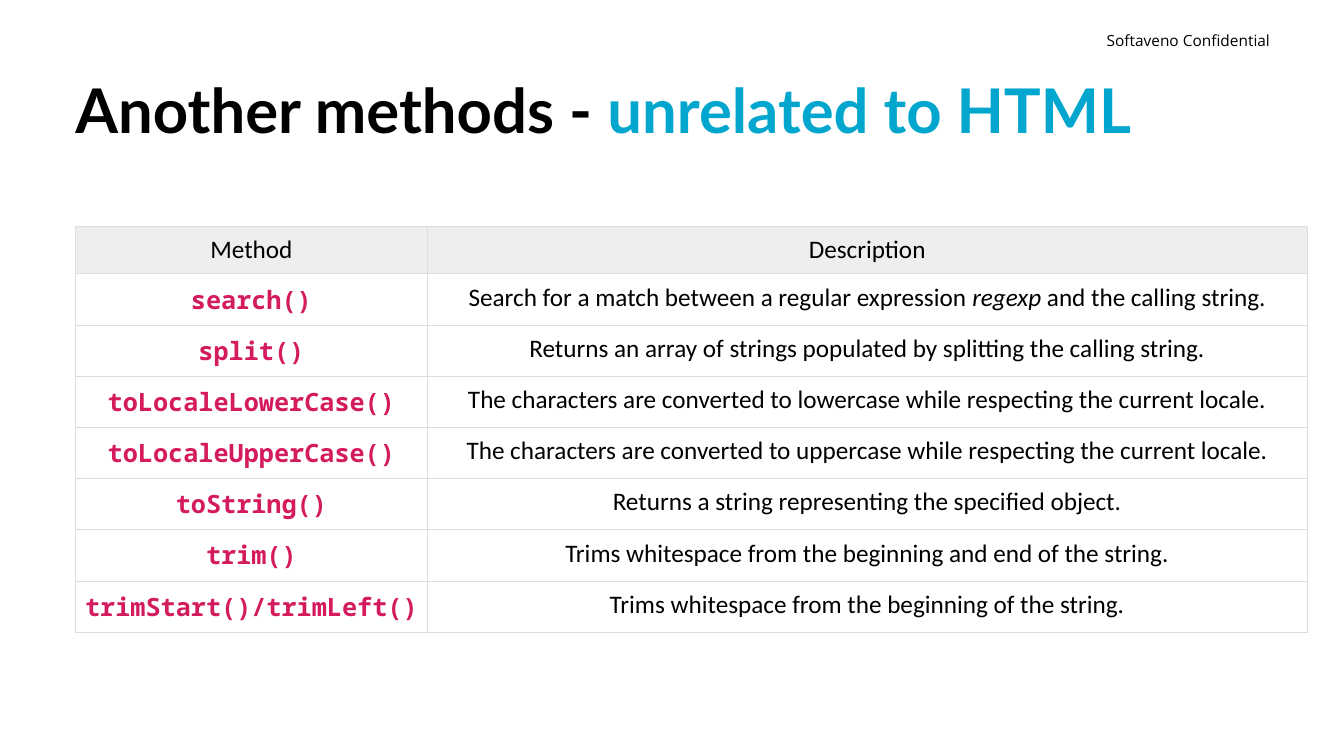
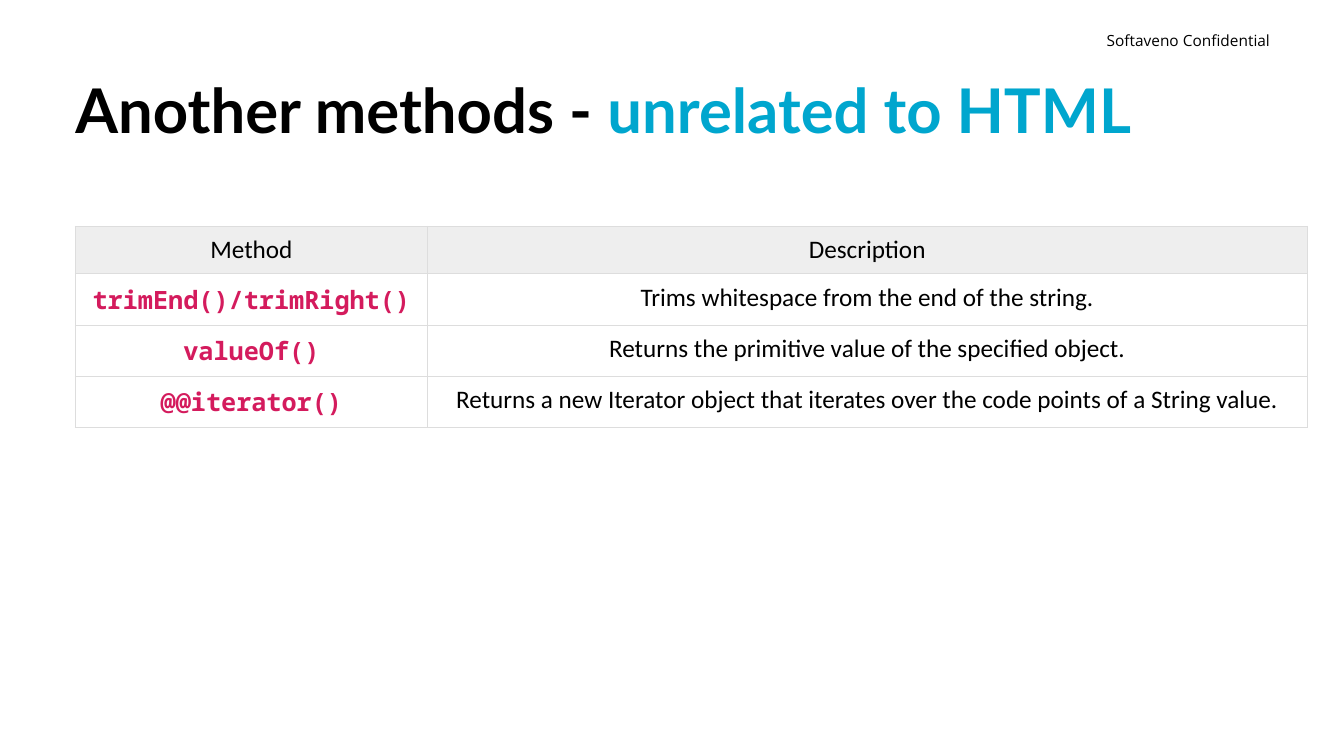
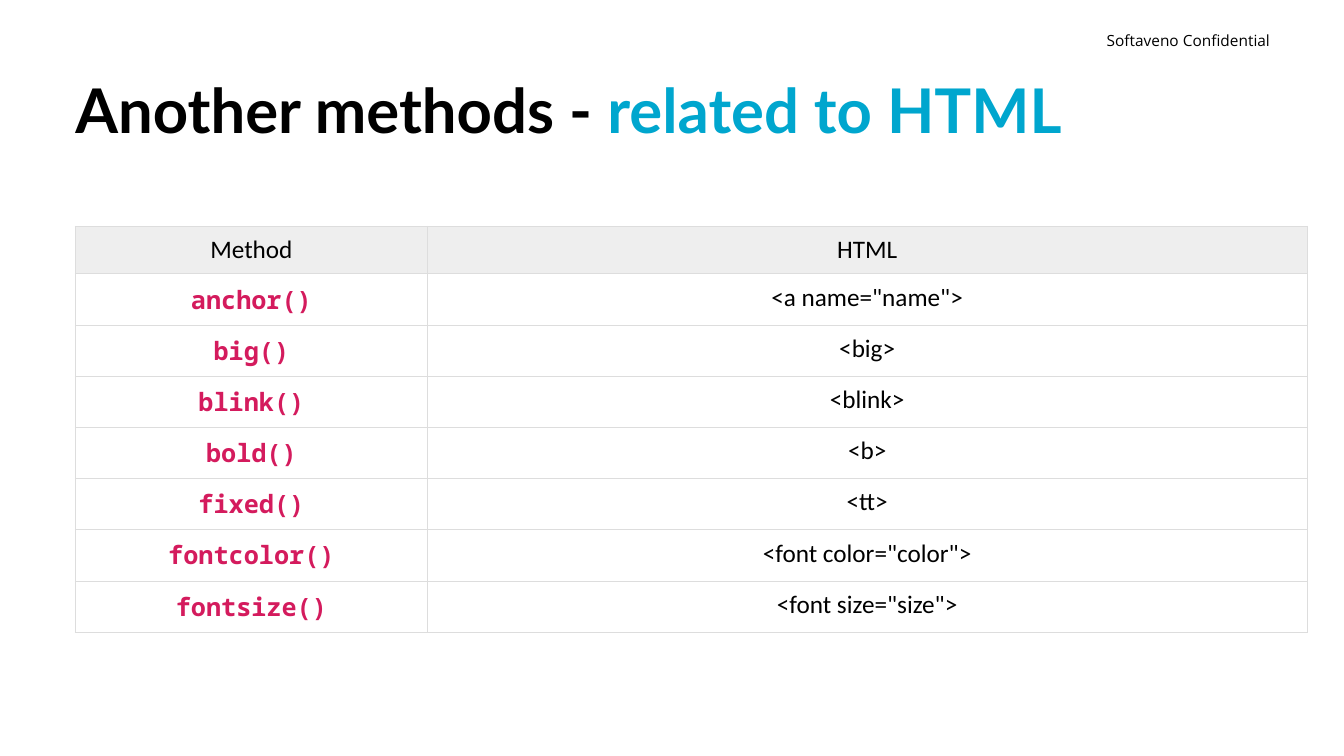
from lxml.etree import SubElement
from pptx import Presentation
from pptx.dml.color import RGBColor
from pptx.enum.text import MSO_ANCHOR, MSO_AUTO_SIZE, PP_ALIGN
from pptx.oxml.ns import qn
from pptx.util import Cm, Pt

COLORS = {
    "text": "000000",
    "accent": "00A6CE",
    "method": "D41B5D",
    "header": "EEEEEE",
    "body": "FFFFFF",
    "border": "DDDDDD",
}
TITLE_FONT = "Lato"
TEXT_FONT = "Calibri"
CODE_FONT = "Noto Sans Mono"
NOTICE_FONT = "Open Sans"

NOTICE = "Softaveno Confidential"
TITLE_START = "Another methods - "

NOTICE_BOX = (Cm(26.37), Cm(0.66), Cm(5.89), Cm(0.74))
TITLE_BOX = (Cm(1.9), Cm(1.9), Cm(30.05), Cm(1.9))
TABLE_ORIGIN = (Cm(1.9), Cm(5.7))
COLUMN_WIDTHS = (Cm(8.87), Cm(22.17))
HEADER_HEIGHT = Cm(1.2)
ROW_HEIGHT = Cm(1.29)
CELL_MARGIN = Cm(0.21)

SLIDES = [
    ("unrelated to HTML", "Description", [
        ("search()", ["Search for a match between a regular expression ",
                      "regexp", " and the calling string."]),
        ("split()", ["Returns an array of strings populated by splitting the calling string."]),
        ("toLocaleLowerCase()",
         ["The characters are converted to lowercase while respecting the current locale."]),
        ("toLocaleUpperCase()",
         ["The characters are converted to uppercase while respecting the current locale."]),
        ("toString()", ["Returns a string representing the specified object."]),
        ("trim()", ["Trims whitespace from the beginning and end of the string."]),
        ("trimStart()/trimLeft()", ["Trims whitespace from the beginning of the string."]),
    ]),
    ("unrelated to HTML", "Description", [
        ("trimEnd()/trimRight()", ["Trims whitespace from the end of the string."]),
        ("valueOf()", ["Returns the primitive value of the specified object."]),
        ("@@iterator()",
         ["Returns a new Iterator object that iterates over the code points of a String value."]),
    ]),
    ("related to HTML", "HTML", [
        ("anchor()", ['<a name="name">']),
        ("big()", ["<big>"]),
        ("blink()", ["<blink>"]),
        ("bold()", ["<b>"]),
        ("fixed()", ["<tt>"]),
        ("fontcolor()", ['<font color="color">']),
        ("fontsize()", ['<font size="size">']),
    ]),
]


def color(name):
    """Return the named colour."""
    return RGBColor.from_string(COLORS[name])


def set_font(font, name, size, color_name="text", bold=False):
    """Set typeface, size, colour and weight."""
    font.name = name
    font.size = Pt(size)
    font.bold = bold
    font.color.rgb = color(color_name)


def add_notice(slide, box):
    """Add the confidentiality notice at the right of the box."""
    frame = slide.shapes.add_textbox(*box).text_frame
    frame.word_wrap = True
    paragraph = frame.paragraphs[0]
    paragraph.text = NOTICE
    paragraph.alignment = PP_ALIGN.RIGHT
    set_font(paragraph.font, NOTICE_FONT, 11)


def place_title(slide, box, ending):
    """Place the title in the box, with its ending in the accent colour."""
    title = slide.shapes.title
    title.left, title.top, title.width, title.height = box
    frame = title.text_frame
    frame.margin_left = 0
    frame.word_wrap = True
    frame.auto_size = MSO_AUTO_SIZE.NONE
    frame.vertical_anchor = MSO_ANCHOR.MIDDLE
    paragraph = frame.paragraphs[0]
    paragraph.alignment = PP_ALIGN.LEFT
    paragraph.line_spacing = 0.9
    for text, color_name in ((TITLE_START, "text"), (ending, "accent")):
        run = paragraph.add_run()
        run.text = text
        set_font(run.font, TITLE_FONT, 44, color_name, bold=True)


def add_borders(cell):
    """Draw a thin line on all four sides of the cell."""
    properties = cell._tc.get_or_add_tcPr()
    for index, side in enumerate(("a:lnL", "a:lnR", "a:lnT", "a:lnB")):
        line = SubElement(properties, qn(side), w=str(Pt(0.75)))
        fill = SubElement(line, qn("a:solidFill"))
        SubElement(fill, qn("a:srgbClr"), val=COLORS["border"])
        properties.insert(index, line)


def fill_cell(cell, texts, fill, font_name=TEXT_FONT, color_name="text", bold=False):
    """Write centred text in the cell, with every second part in italics."""
    cell.margin_left = cell.margin_right = CELL_MARGIN
    cell.margin_top = cell.margin_bottom = CELL_MARGIN
    cell.fill.solid()
    cell.fill.fore_color.rgb = color(fill)
    add_borders(cell)
    paragraph = cell.text_frame.paragraphs[0]
    paragraph.alignment = PP_ALIGN.CENTER
    set_font(paragraph.font, font_name, 18, color_name, bold)
    for index, text in enumerate(texts):
        run = paragraph.add_run()
        run.text = text
        if index % 2:
            run.font.italic = True


def add_method_table(slide, origin, heading, methods):
    """Add the table of methods with its top left corner at the origin."""
    height = HEADER_HEIGHT + ROW_HEIGHT * len(methods)
    table = slide.shapes.add_table(
        len(methods) + 1, 2, *origin, sum(COLUMN_WIDTHS), height).table
    table.first_row = table.horz_banding = False
    for column, width in zip(table.columns, COLUMN_WIDTHS):
        column.width = width
    for index, row in enumerate(table.rows):
        row.height = ROW_HEIGHT if index else HEADER_HEIGHT
    for index, text in enumerate(("Method", heading)):
        fill_cell(table.cell(0, index), [text], "header")
    for index, (method, description) in enumerate(methods, start=1):
        fill_cell(table.cell(index, 0), [method], "body", CODE_FONT, "method", bold=True)
        fill_cell(table.cell(index, 1), description, "body")


def add_method_slide(presentation, ending, heading, methods):
    """Add one slide with notice, title and method table."""
    slide = presentation.slides.add_slide(presentation.slide_layouts[5])
    add_notice(slide, NOTICE_BOX)
    place_title(slide, TITLE_BOX, ending)
    add_method_table(slide, TABLE_ORIGIN, heading, methods)


def main():
    """Build and save the presentation."""
    presentation = Presentation()
    presentation.slide_width = Cm(33.87)
    presentation.slide_height = Cm(19.05)
    for ending, heading, methods in SLIDES:
        add_method_slide(presentation, ending, heading, methods)
    presentation.save("out.pptx")


if __name__ == "__main__":
    main()
